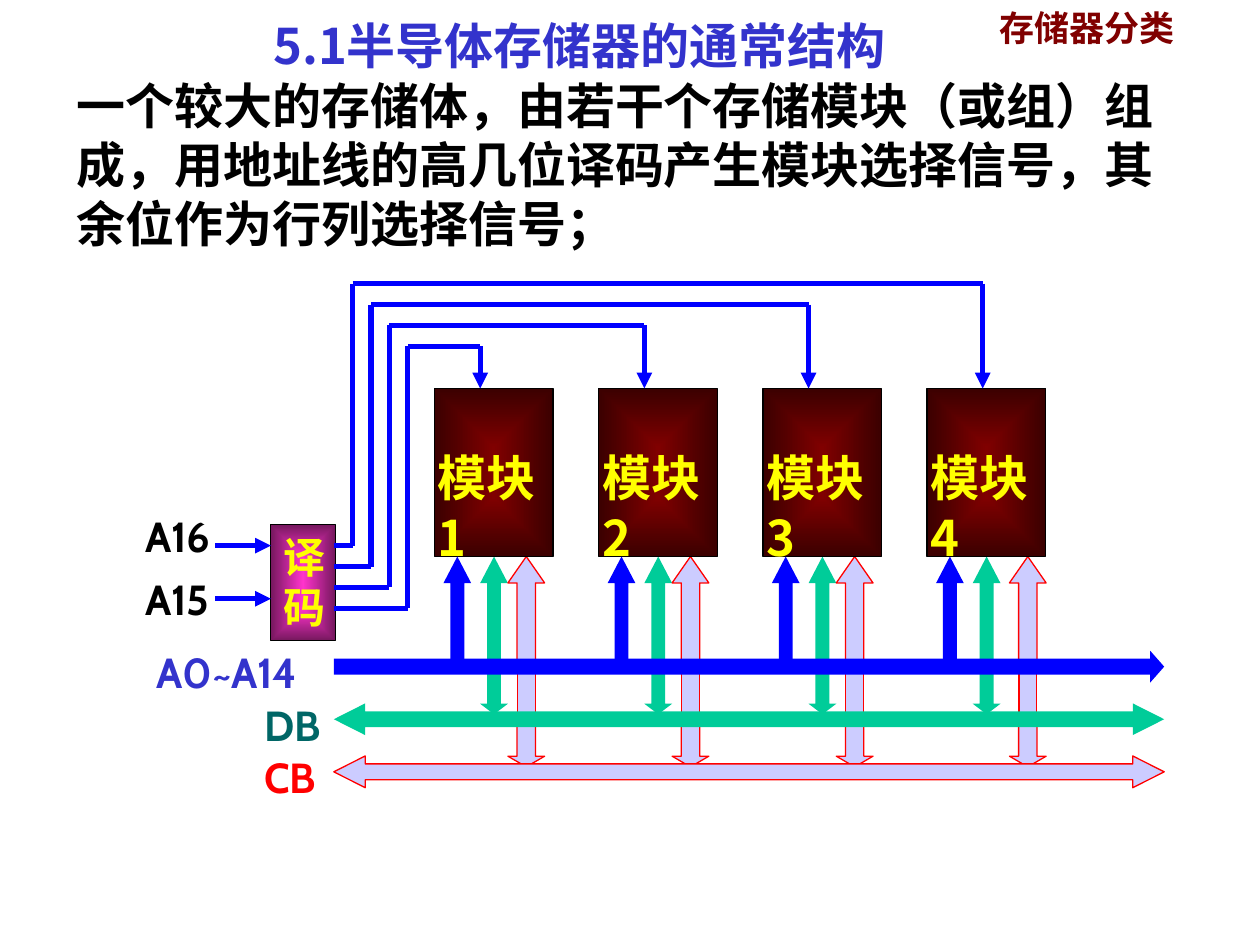
from lxml import etree
from pptx import Presentation
from pptx import util as u
from pptx.dml.color import RGBColor
from pptx.enum import shapes, text
from pptx.oxml import ns

Cm, Pt = u.Cm, u.Pt
Kind = shapes.MSO_SHAPE
HEX = {"blue": "0000FF", "green": "00CC99", "lilac": "CCCCFF", "red": "FF0000",
       "black": "000000", "maroon": "800000", "dark": "3B0000", "pink": "FF33CC",
       "plum": "76185E", "yellow": "FFFF00", "indigo": "3333CC", "teal": "006666"}
RGB = {name: RGBColor.from_string(code) for name, code in HEX.items()}
NOTO, CABIN = "Noto Sans CJK SC", "Cabin"

deck = Presentation()
deck.slide_width, deck.slide_height = Cm(25.4), Cm(19.05)
slide = deck.slides.add_slide(deck.slide_layouts[5])


def write(box, words, size, color, font=CABIN, lead=None):
    frame = box.text_frame
    frame.text = words
    frame.word_wrap = True
    frame.auto_size = text.MSO_AUTO_SIZE.NONE
    para = frame.paragraphs[0]
    para.alignment = text.PP_ALIGN.LEFT
    if lead:
        para.line_spacing = Pt(lead)
    run = para.runs[0]
    run.font.size, run.font.bold, run.font.name = Pt(size), True, font
    run.font.color.rgb = RGB[color]
    # East Asian face
    etree.SubElement(run.font._element, ns.qn("a:ea"), typeface=CABIN)


def block(kind, x, y, w, h, fill, line=None, adj=(), edge=None):
    item = slide.shapes.add_shape(kind, Cm(x), Cm(y), Cm(w), Cm(h))
    item.shadow.inherit = False
    for n, value in enumerate(adj):
        item.adjustments[n] = value
    if edge:
        # Gradient from the centre out to the edge
        item.fill.gradient()
        for stop, name in zip(item.fill.gradient_stops, (fill, edge)):
            stop.color.rgb = RGB[name]
        grad = item._element.spPr.find(ns.qn("a:gradFill"))
        grad.remove(grad.find(ns.qn("a:lin")))
        way = etree.SubElement(grad, ns.qn("a:path"), path="rect")
        etree.SubElement(way, ns.qn("a:fillToRect"),
                         l="50000", t="50000", r="50000", b="50000")
    else:
        item.fill.solid()
        item.fill.fore_color.rgb = RGB[fill]
    if line:
        item.line.color.rgb = RGB[line]
        item.line.width = Pt(0.75)
    else:
        item.line.fill.background()


# Section title
head = slide.shapes.title
head.left, head.top, head.width, head.height = Cm(19.89), Cm(0), Cm(4.65), Cm(1.07)
head.text_frame.vertical_anchor = text.MSO_ANCHOR.MIDDLE
write(head, "存储器分类", 20, "maroon", NOTO, 25)

# Module columns: bus arrows below each block
GAP, COUNT = 3.31, 4
for n in range(COUNT):
    x = n * GAP
    side = 10.24 + x + (0.18 if n == COUNT - 1 else 0)
    block(Kind.UP_ARROW, 9.68 + x, 11.22, 0.56, 2.12, "green", adj=(0.5, 0.96))
    block(Kind.DOWN_ARROW, 9.68 + x, 13.55, 0.56, 0.85, "green", adj=(0.5, 0.38))
    block(Kind.DOWN_ARROW, side, 14.61, 0.74, 0.85, "lilac", "red", (0.5, 0.29))
    block(Kind.RECTANGLE, side + 0.19, 13.55, 0.36, 0.85, "lilac", "red")
    block(Kind.UP_ARROW, side, 11.22, 0.74, 2.12, "lilac", "red", (0.5, 0.72))
    block(Kind.RECTANGLE, 8.76 + x, 7.83, 2.39, 3.39, "maroon", "black", edge="dark")

# Buses
for n, (kind, fill, line, tip) in enumerate([
        (Kind.RIGHT_ARROW, "blue", None, 0.44),
        (Kind.LEFT_RIGHT_ARROW, "green", None, 0.99),
        (Kind.LEFT_RIGHT_ARROW, "lilac", "red", 0.99)]):
    block(kind, 6.73, 13.12 + 1.06 * n, 16.74, 0.64, fill, line, (0.5, tip))

# Decoder
block(Kind.RECTANGLE, 5.46, 10.58, 1.3, 2.34, "pink", "black", edge="plum")

# Wires: decoder inputs, then one select line for each module
wires = [(4.34, y, 5.46, y, True) for y in (11, 12.07)]
for n in range(COUNT):
    start, top, bend = 11 + 0.42 * n, 5.72 + 0.42 * n, 7.11 + 0.37 * n
    end = 9.68 + GAP * (COUNT - 1 - n) + (0.2 if n == 0 else 0)
    wires += [(6.73, start, bend, start, False), (bend, start, bend, top, False),
              (bend, top, end, top, False), (end, top, end, 7.83, True)]
for x1, y1, x2, y2, tip in wires:
    wire = slide.shapes.add_connector(shapes.MSO_CONNECTOR.STRAIGHT,
                                      Cm(x1), Cm(y1), Cm(x2), Cm(y2))
    wire.line.color.rgb = RGB["blue"]
    wire.line.width = Pt(3)
    if tip:
        etree.SubElement(wire.line._get_or_add_ln(), ns.qn("a:tailEnd"), type="triangle")
    etree.SubElement(wire._element.spPr, ns.qn("a:effectLst"))

# Address arrows rise from the top bus
for n in range(COUNT):
    block(Kind.UP_ARROW, 8.94 + GAP * n, 11.22, 0.56, 2.12, "blue", adj=(0.5, 0.96))

# Heading, explanation and labels
notes = [
    (5.26, 0, 15.04, 1.57, "5.1半导体存储器的通常结构", 28, "indigo", NOTO, 39),
    (1.3, 1.4, 22.43, 3.81,
     "一个较大的存储体，由若干个存储模块（或组）组成，用地址线的高几位译码产生模块选择信号，"
     "其余位作为行列选择信号；", 28, "black"),
    (5.46, 10.58, 1.3, 2.29, "译码", 24, "yellow"),
    (2.69, 10.16, 2.21, 1.27, "A16", 24, "black"),
    (2.69, 11.43, 2.21, 1.27, "A15", 24, "black"),
    (2.9, 12.91, 4.22, 1.27, "A0~A14", 24, "indigo"),
    (5.08, 13.97, 2.36, 1.27, "DB", 24, "teal"),
    (5.08, 15.03, 1.65, 1.27, "CB", 24, "red"),
]
notes += [(8.58 + GAP * n, 8.89, 2.77, 2.64, f"模块{n + 1}", 28, "yellow", NOTO, 34)
          for n in range(COUNT)]
for x, y, w, h, *look in notes:
    write(slide.shapes.add_textbox(Cm(x), Cm(y), Cm(w), Cm(h)), *look)

deck.save("out.pptx")
